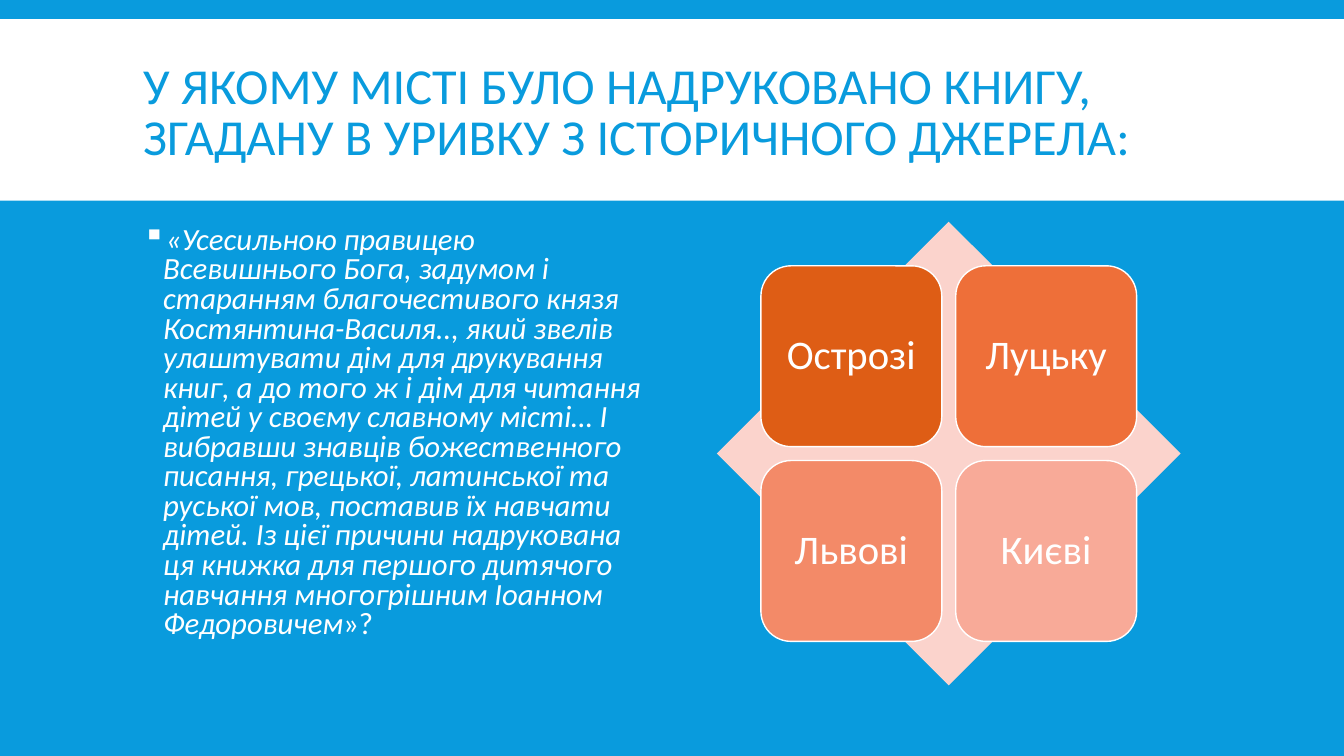
from dataclasses import dataclass

from lxml import etree
from pptx import Presentation
from pptx import util as u
from pptx.dml.color import RGBColor
from pptx.enum import shapes, text
from pptx.oxml.ns import qn


@dataclass(frozen=True)
class Theme:
    """Colours, font and type sizes of the slide."""
    blue: str = "099BDD"
    white: str = "FFFFFF"
    diamond: str = "FBD3CC"
    tiles: tuple = ("DE5D15", "EE6F39", "F38A68", "F8AA98")
    font: str = "Calibri"
    title_size: int = 36
    quote_size: int = 22
    tile_size: int = 29


THEME = Theme()
TITLE = "У ЯКОМУ МІСТІ БУЛО НАДРУКОВАНО КНИГУ, ЗГАДАНУ В УРИВКУ З ІСТОРИЧНОГО ДЖЕРЕЛА:"
QUOTE = (
    "«Усесильною правицею Всевишнього Бога, задумом і старанням благочестивого "
    "князя Костянтина-Василя.., який звелів улаштувати дім для друкування книг, "
    "а до того ж і дім для читання дітей у своєму славному місті… І вибравши "
    "знавців божественного писання, грецької, латинської та руської мов, поставив "
    "їх навчати дітей. Із цієї причини надрукована ця книжка для першого дитячого "
    "навчання многогрішним Іоанном Федоровичем"
)
QUOTE_END = "»?"
CITIES = ("Острозі", "Луцьку", "Львові", "Києві")


def style_span(span, size, color, italic=False):
    """Give a run its font, size, colour and slant."""
    span.font.name = THEME.font
    span.font.size = u.Pt(size)
    span.font.color.rgb = RGBColor.from_string(color)
    span.font.italic = italic


def add_figure(page, kind, box, fill, outline=None):
    """Add a flat preset shape in a box of inches."""
    figure = page.shapes.add_shape(kind, *map(u.Inches, box))
    figure.shadow.inherit = False
    figure.fill.solid()
    figure.fill.fore_color.rgb = RGBColor.from_string(fill)
    if outline:
        figure.line.color.rgb = RGBColor.from_string(outline)
        figure.line.width = u.Pt(1)
    else:
        figure.line.fill.background()
    return figure


def add_bullet(para, mark, color, indent):
    """Give a paragraph a coloured bullet with a hanging indent."""
    properties = para._p.get_or_add_pPr()
    properties.set("marL", str(u.Inches(indent)))
    properties.set("indent", str(-u.Inches(indent)))
    bullet_color = etree.SubElement(properties, qn("a:buClr"))
    etree.SubElement(bullet_color, qn("a:srgbClr"), val=color)
    etree.SubElement(properties, qn("a:buChar"), char=mark)


def build_heading(page, box):
    """Place the white band and the title inside it."""
    left, top, width, height = box
    band = add_figure(page, shapes.MSO_SHAPE.RECTANGLE, box, THEME.white)
    title = page.shapes.title
    title.element.addprevious(band.element)
    title.left, title.top = u.Inches(left + 1.32), u.Inches(top + 0.12)
    title.width, title.height = u.Inches(width - 2.63), u.Inches(height - 0.15)
    frame = title.text_frame
    frame.text = TITLE
    frame.word_wrap = True
    frame.auto_size = text.MSO_AUTO_SIZE.NONE
    frame.vertical_anchor = text.MSO_ANCHOR.MIDDLE
    para = frame.paragraphs[0]
    para.alignment = text.PP_ALIGN.LEFT
    para.line_spacing = 0.85
    style_span(para.runs[0], THEME.title_size, THEME.blue)


def build_quote(page, box):
    """Place the bulleted passage from the historical source."""
    frame = page.shapes.add_textbox(*map(u.Inches, box)).text_frame
    frame.word_wrap = True
    para = frame.paragraphs[0]
    add_bullet(para, "▪", THEME.white, 0.2)
    para.line_spacing = 0.8
    para.space_after = u.Pt(2)
    for words, italic in ((QUOTE, True), (QUOTE_END, False)):
        span = para.add_run()
        span.text = words
        style_span(span, THEME.quote_size, THEME.white, italic)


def build_answers(page, box):
    """Place four answer tiles in a grid over a diamond."""
    left, top, side, _ = box
    add_figure(page, shapes.MSO_SHAPE.DIAMOND, box, THEME.diamond)
    tile_side, pitch = 0.39 * side, 0.42 * side
    margin = (side - pitch - tile_side) / 2
    for index, (city, fill) in enumerate(zip(CITIES, THEME.tiles)):
        row, column = divmod(index, 2)
        tile_box = (left + margin + column * pitch, top + margin + row * pitch,
                    tile_side, tile_side)
        tile = add_figure(page, shapes.MSO_SHAPE.ROUNDED_RECTANGLE, tile_box,
                          fill, THEME.white)
        frame = tile.text_frame
        frame.text = city
        frame.word_wrap = True
        frame.vertical_anchor = text.MSO_ANCHOR.MIDDLE
        para = frame.paragraphs[0]
        para.alignment = text.PP_ALIGN.CENTER
        para.line_spacing = 0.9
        style_span(para.runs[0], THEME.tile_size, THEME.white)


def main():
    """Build the question slide and save the deck."""
    deck = Presentation()
    deck.slide_width, deck.slide_height = u.Inches(13.33), u.Inches(7.5)
    page = deck.slides.add_slide(deck.slide_layouts.get_by_name("Title Only"))
    page.background.fill.solid()
    page.background.fill.fore_color.rgb = RGBColor.from_string(THEME.blue)
    build_heading(page, (0, 0.19, 13.33, 1.8))
    build_quote(page, (1.32, 2.2, 5.2, 4.6))
    build_answers(page, (7.11, 2.2, 4.6, 4.6))
    deck.save("out.pptx")


if __name__ == "__main__":
    main()
